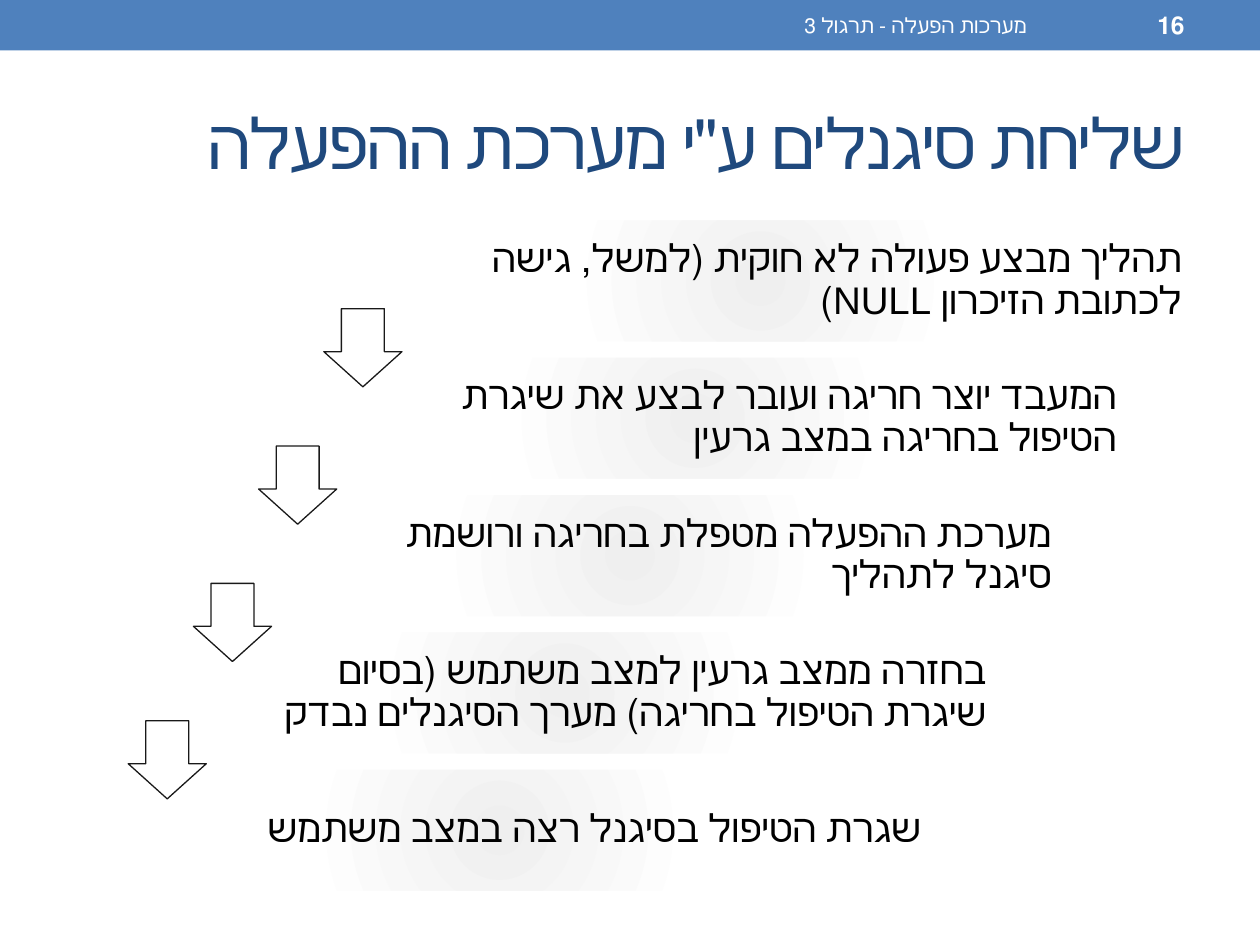
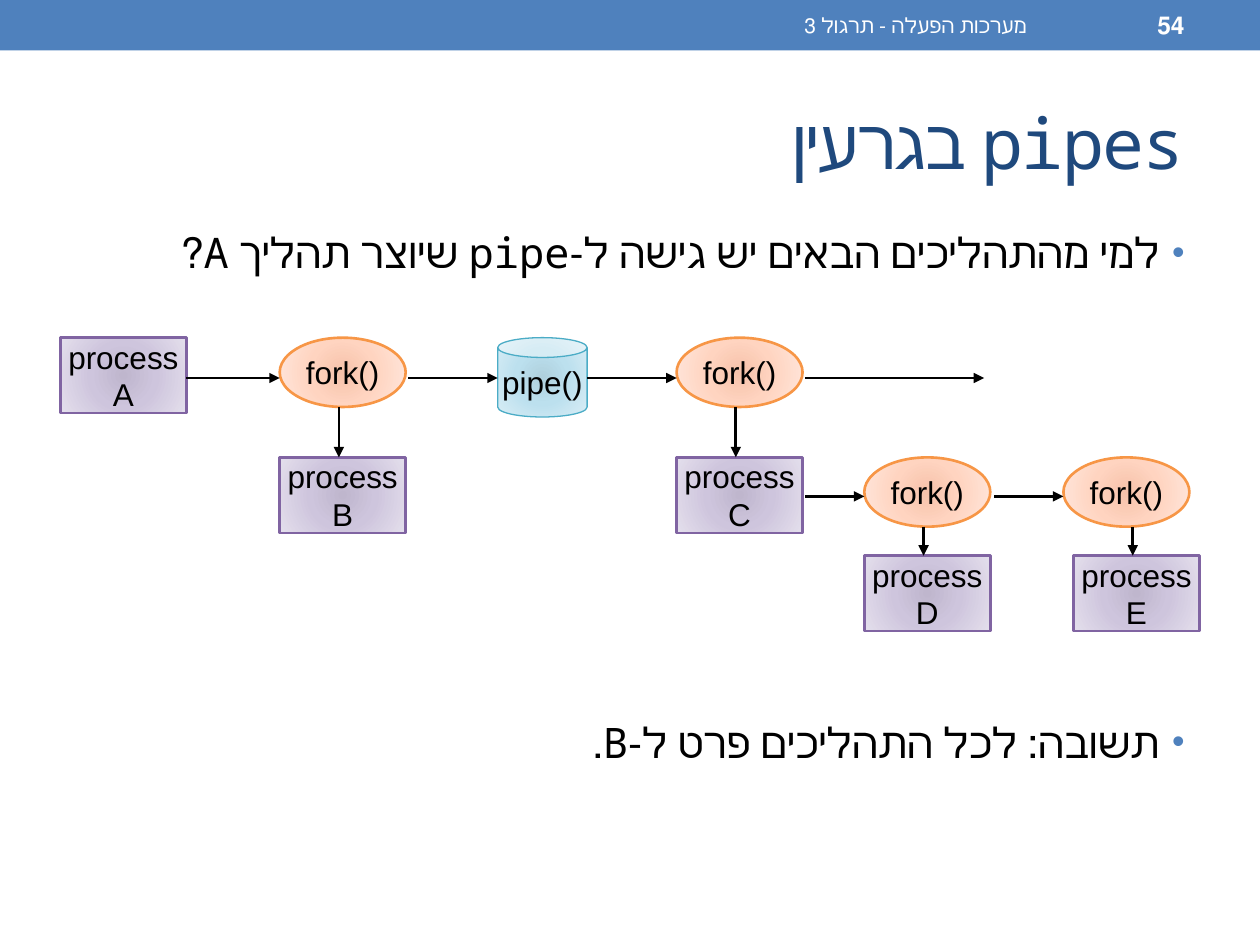
from dataclasses import dataclass

from lxml import etree
from pptx import Presentation
from pptx import util as u
from pptx.dml.color import RGBColor
from pptx.enum import shapes, text
from pptx.oxml.ns import nsdecls, qn


@dataclass(frozen=True)
class Theme:
    """Colours, fonts and type sizes of the deck."""
    band: str = "4F81BD"
    title: str = "1F497D"
    ink: str = "000000"
    paper: str = "FFFFFF"
    mono: str = "Noto Sans Mono"
    sans: str = "Arial"
    title_size: int = 40
    body_size: int = 24
    step_size: int = 22
    node_size: int = 18
    number_size: int = 14
    footer_size: int = 12
    step_glow: tuple = ("EFEFEF", "FFFFFF", "FFFFFF")


THEME = Theme()
COURSE = "מערכות הפעלה - תרגול 3"
SHAPE = shapes.MSO_SHAPE
ALIGN = text.PP_ALIGN

NODE_STYLES = {
    "process": dict(preset=SHAPE.RECTANGLE, size=(1, 0.6), line=("8064A2", 1.5),
                    glow=("BFB6CD", "CEC5DD", "E4DFEC")),
    "fork()": dict(preset=SHAPE.OVAL, size=(1, 0.55), line=("F79646", 1.5),
                   glow=("F6C2AA", "FFD4C0", "FFE7DD")),
    "pipe()": dict(preset=SHAPE.CAN, size=(0.71, 0.63), line=("4BACC6", 0.75),
                   glow=("AFD0DD", "BCE0EE", "DAEEF6")),
}


def apply(target, values):
    """Set every attribute named in a dict of format values."""
    for name, value in values.items():
        setattr(target, name, value)


def xml(markup):
    """Parse one DrawingML element."""
    return etree.fromstring(markup.replace(" ", f" {nsdecls('a')} ", 1))


def inches(*lengths):
    """Convert numbers to lengths."""
    return [u.Inches(length) for length in lengths]


def write(paragraph, words, size, color, font=THEME.mono, bold=False, spacing=None):
    """Add a run whose Hebrew letters keep the default complex-script font."""
    run = paragraph.add_run()
    run.text = words
    apply(run.font, dict(size=u.Pt(size), name=font, bold=bold))
    run.font.color.rgb = RGBColor.from_string(color)
    if spacing is not None:
        run.font._element.set("spc", str(spacing))


def right_to_left(paragraph, **formats):
    """Set a paragraph flush right in Hebrew reading order."""
    apply(paragraph, dict(alignment=ALIGN.RIGHT, **formats))
    paragraph._p.get_or_add_pPr().set("rtl", "1")


def text_frame(slide, box, anchor=text.MSO_ANCHOR.MIDDLE, inset=None):
    """Add a wrapping text box and return its frame."""
    frame = slide.shapes.add_textbox(*inches(*box)).text_frame
    apply(frame, dict(word_wrap=True, vertical_anchor=anchor))
    if inset is not None:
        sides = ("left", "top", "right", "bottom")
        apply(frame, {f"margin_{side}": u.Inches(inset) for side in sides})
    return frame


def label(slide, box, words, size, color, **style):
    """Add a single Hebrew paragraph centred vertically in its box."""
    paragraph = text_frame(slide, box).paragraphs[0]
    right_to_left(paragraph)
    write(paragraph, words, size, color, **style)


def preset_shape(slide, preset, box, fill, line=None):
    """Add a flat shape with a solid fill and an optional outline."""
    shape = slide.shapes.add_shape(preset, *inches(*box))
    shape.shadow.inherit = False
    shape.fill.solid()
    shape.fill.fore_color.rgb = RGBColor.from_string(fill)
    if line:
        color, width = line
        shape.line.color.rgb = RGBColor.from_string(color)
        shape.line.width = u.Pt(width)
    else:
        shape.line.fill.background()
    return shape


def add_glow(shape, colors):
    """Replace the solid fill by a gradient that spreads from the centre."""
    stops = "".join(f'<a:gs pos="{pos}000"><a:srgbClr val="{color}"/></a:gs>'
                    for pos, color in zip((0, 45, 100), colors))
    edges = " ".join(f'{side}="100000"' for side in "ltrb")
    gradient = xml(f'<a:gradFill rotWithShape="1"><a:gsLst>{stops}</a:gsLst>'
                   f'<a:path path="circle"><a:fillToRect {edges}/></a:path></a:gradFill>')
    properties = shape._element.spPr
    properties.replace(properties.find(qn("a:solidFill")), gradient)


def set_opacity(shape, percent):
    """Make the fill and outline slightly transparent."""
    for color in shape._element.spPr.iter(qn("a:srgbClr")):
        color.append(xml(f'<a:alpha val="{percent}000"/>'))


def arrow(slide, start, end):
    """Draw an arrow between two points."""
    link = slide.shapes.add_connector(shapes.MSO_CONNECTOR.STRAIGHT, *inches(*start, *end))
    link.line.color.rgb = RGBColor.from_string(THEME.ink)
    link.line.width = u.Pt(1.5)
    link.line._get_or_add_ln().append(xml('<a:tailEnd type="triangle"/>'))
    link._element.spPr.append(xml("<a:effectLst />"))


def node(slide, kind, left, top, letter=None):
    """Add one diagram node, with a letter below the name of a process."""
    style = NODE_STYLES[kind]
    shape = preset_shape(slide, style["preset"], (left, top, *style["size"]),
                         THEME.paper, style["line"])
    add_glow(shape, style["glow"])
    frame = shape.text_frame
    apply(frame, dict(word_wrap=False, vertical_anchor=text.MSO_ANCHOR.MIDDLE))
    for row, words in enumerate(filter(None, (kind, letter))):
        paragraph = frame.add_paragraph() if row else frame.paragraphs[0]
        paragraph.alignment = ALIGN.CENTER
        write(paragraph, words, THEME.node_size, THEME.ink, THEME.sans)


def bullet(paragraph, words, space_before):
    """Write a bulleted Hebrew paragraph."""
    right_to_left(paragraph, space_before=u.Pt(space_before))
    properties = paragraph._p.get_or_add_pPr()
    indent = u.Inches(0.2)
    for name, value in dict(marL=indent, indent=-indent).items():
        properties.set(name, str(value))
    for markup in (f'<a:buClr ><a:srgbClr val="{THEME.band}"/></a:buClr>',
                   '<a:buSzPct val="85000"/>',
                   '<a:buFont typeface="Arial"/>',
                   '<a:buChar char="•"/>'):
        properties.append(xml(markup))
    write(paragraph, words, THEME.body_size, THEME.ink)


def titled_slide(deck, title, number):
    """Add a blank slide with the band, title, course name and number."""
    slide = deck.slides.add_slide(deck.slide_layouts[6])
    preset_shape(slide, SHAPE.RECTANGLE, (0, 0, 10, 0.4), THEME.band)
    label(slide, (0.5, 0.58, 9, 1.08), title, THEME.title_size, THEME.title, spacing=-100)
    label(slide, (3.75, 0.02, 4.5, 0.36), COURSE, THEME.footer_size, THEME.paper)
    label(slide, (8.33, 0.02, 1.17, 0.36), str(number), THEME.number_size, THEME.paper,
          bold=True)
    return slide


def step_panel(slide, left, top, words):
    """Add one step of the staircase with its text."""
    panel = preset_shape(slide, SHAPE.ROUNDED_RECTANGLE, (left, top, 6.93, 0.96), THEME.paper)
    panel.adjustments[0] = 0.1
    add_glow(panel, THEME.step_glow)
    frame = text_frame(slide, (left + 1.11, top + 0.03, 5.79, 0.9), inset=0.09)
    paragraph = frame.paragraphs[0]
    right_to_left(paragraph, line_spacing=0.9)
    write(paragraph, words, THEME.step_size, THEME.ink, THEME.sans)


def step_arrow(slide, left, top):
    """Add the block arrow that leads down to the next step."""
    pointer = preset_shape(slide, SHAPE.DOWN_ARROW, (left, top, 0.62, 0.62),
                           THEME.paper, (THEME.ink, 0.75))
    pointer.adjustments[0], pointer.adjustments[1] = 0.55, 0.45
    set_opacity(pointer, 90)


def signals_slide(deck):
    """Build the staircase of steps that deliver a signal."""
    slide = titled_slide(deck, 'שליחת סיגנלים ע"י מערכת ההפעלה', 16)
    steps = [
        "תהליך מבצע פעולה לא חוקית (למשל, גישה לכתובת הזיכרון NULL)",
        "המעבד יוצר חריגה ועובר לבצע את שיגרת הטיפול בחריגה במצב גרעין",
        "מערכת ההפעלה מטפלת בחריגה ורושמת סיגנל לתהליך",
        "בחזרה ממצב גרעין למצב משתמש (בסיום שיגרת הטיפול בחריגה) מערך הסיגנלים נבדק",
        "שגרת הטיפול בסיגנל רצה במצב משתמש",
    ]
    first_left, last_left = 2.57, 0.5
    shift = (first_left - last_left) / (len(steps) - 1)
    corners = [(first_left - shift * row, 1.75 + 1.09 * row) for row in range(len(steps))]
    for (left, top), words in zip(corners, steps):
        step_panel(slide, left, top, words)
    for left, top in corners[:-1]:
        step_arrow(slide, left, top + 0.7)


def pipes_slide(deck):
    """Build the question about which processes reach the pipe."""
    slide = titled_slide(deck, "pipes בגרעין", 54)
    body = text_frame(slide, (0.5, 1.75, 9, 5.33), text.MSO_ANCHOR.TOP)
    bullet(body.paragraphs[0], "למי מהתהליכים הבאים יש גישה ל-pipe שיוצר תהליך A?", 5)
    bullet(body.add_paragraph(), "תשובה: לכל התהליכים פרט ל-B.", 251)

    parent_row, child_row, grandchild_row = 2.68, 3.63, 4.41
    for left, top, letter in ((0.48, parent_row, "A"), (2.22, child_row, "B"),
                              (5.37, child_row, "C"), (6.86, grandchild_row, "D"),
                              (8.52, grandchild_row, "E")):
        node(slide, "process", left, top, letter)
    for left, top in ((2.22, parent_row), (5.37, parent_row),
                      (6.86, child_row), (8.44, child_row)):
        node(slide, "fork()", left, top)
    node(slide, "pipe()", 3.95, parent_row)

    parent_flow, child_flow = 3, 3.94
    for start, end, y in ((1.48, 2.22, parent_flow), (3.24, 3.95, parent_flow),
                          (4.66, 5.37, parent_flow), (6.39, 7.81, parent_flow),
                          (6.39, 6.86, child_flow), (7.89, 8.44, child_flow)):
        arrow(slide, (start, y), (end, y))
    fork_height = NODE_STYLES["fork()"]["size"][1]
    for x, top, bottom in ((2.69, parent_row, child_row), (5.84, parent_row, child_row),
                           (7.33, child_row, grandchild_row),
                           (8.99, child_row, grandchild_row)):
        arrow(slide, (x, top + fork_height), (x, bottom))


def main():
    """Build both slides and save the deck."""
    deck = Presentation()
    apply(deck, dict(slide_width=u.Inches(10), slide_height=u.Inches(7.5)))
    signals_slide(deck)
    pipes_slide(deck)
    deck.save("out.pptx")


if __name__ == "__main__":
    main()
